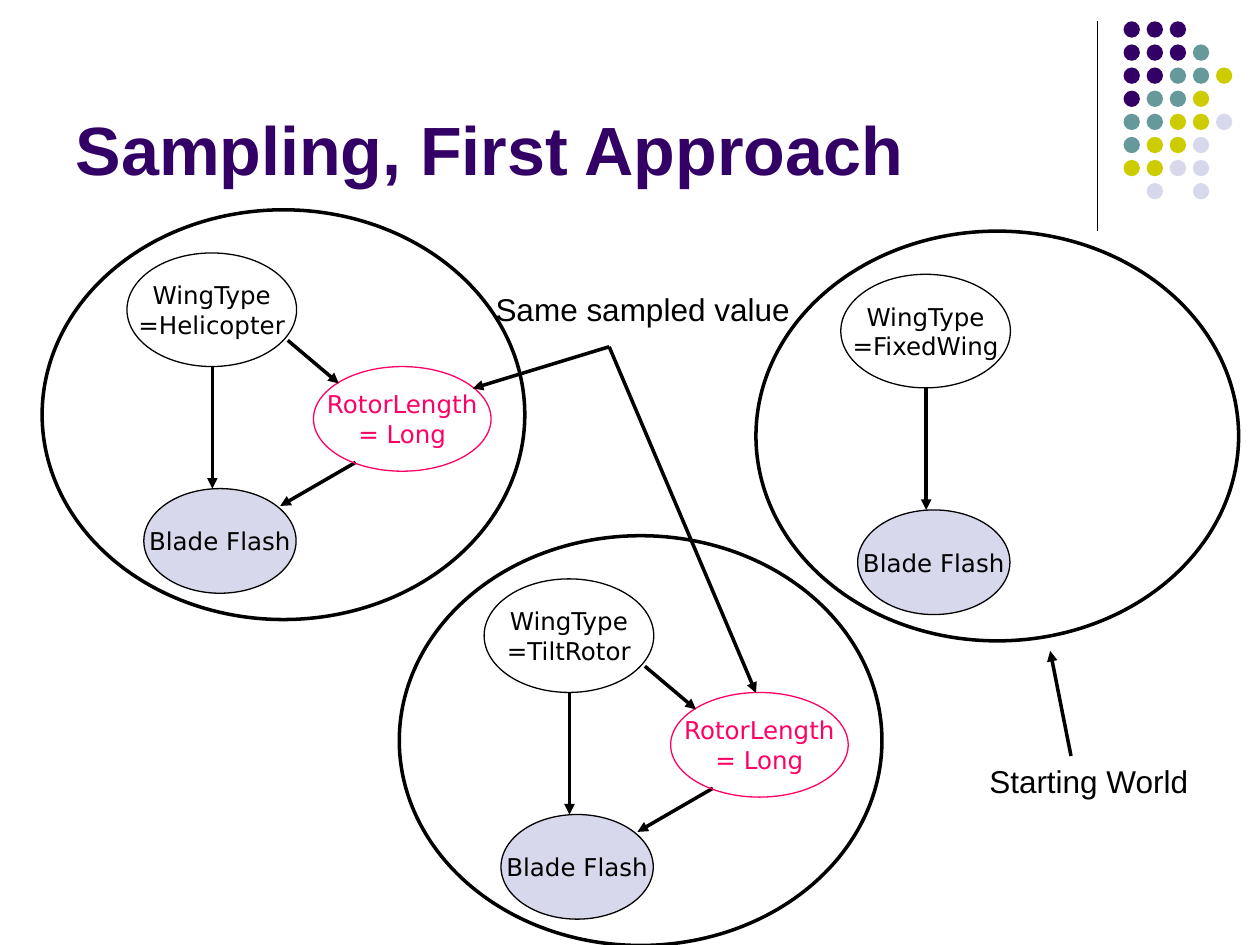
"""Build the slide on sampling possible worlds of wing types and rotor lengths."""
from lxml.etree import SubElement
from pptx import Presentation
from pptx.dml.color import RGBColor
from pptx.enum.shapes import MSO_CONNECTOR, MSO_SHAPE
from pptx.enum.text import MSO_ANCHOR, PP_ALIGN
from pptx.oxml.ns import qn
from pptx.util import Cm, Pt

THEME = {
    "ink": RGBColor.from_string("000000"),
    "purple": RGBColor.from_string("330066"),
    "teal": RGBColor.from_string("669999"),
    "olive": RGBColor.from_string("CCCC00"),
    "lavender": RGBColor.from_string("D8D8EC"),
    "pink": RGBColor.from_string("FF0066"),
    "title": {"name": "Arial", "size": Pt(39), "bold": True},
    "caption": {"name": "Arial", "size": Pt(18)},
    "node": {"name": "DejaVu Sans", "size": Pt(14)},
    "thin": Pt(0.75),
    "thick": Pt(2),
}


def add_ellipse(left, top, width, height, fill=None, line=None, weight="thin", label=""):
    ellipse = slide.shapes.add_shape(
        MSO_SHAPE.OVAL, Cm(left), Cm(top), Cm(width), Cm(height))
    ellipse.shadow.inherit = False
    if fill:
        ellipse.fill.solid()
        ellipse.fill.fore_color.rgb = THEME[fill]
    else:
        ellipse.fill.background()
    if line:
        ellipse.line.color.rgb = THEME[line]
        ellipse.line.width = THEME[weight]
    else:
        ellipse.line.fill.background()
    if label:
        frame = ellipse.text_frame
        frame.text = label
        frame.word_wrap = False
        frame.vertical_anchor = MSO_ANCHOR.MIDDLE
        for paragraph in frame.paragraphs:
            paragraph.alignment = PP_ALIGN.CENTER
            paragraph.font.color.rgb = THEME["pink" if line == "pink" else "ink"]
            for attribute, value in THEME["node"].items():
                setattr(paragraph.font, attribute, value)


def add_line(x1, y1, x2, y2, weight="thick", arrow=True):
    connector = slide.shapes.add_connector(
        MSO_CONNECTOR.STRAIGHT, Cm(x1), Cm(y1), Cm(x2), Cm(y2))
    connector.line.color.rgb = THEME["ink"]
    connector.line.width = THEME[weight]
    if arrow:
        SubElement(connector.line._get_or_add_ln(), qn("a:tailEnd"), type="triangle")
    SubElement(connector._element.spPr, qn("a:effectLst"))


presentation = Presentation()
presentation.slide_width = Cm(25.4)
presentation.slide_height = Cm(19.05)
slide = presentation.slides.add_slide(presentation.slide_layouts[5])

add_line(22.12, 0.43, 22.12, 4.65, "thin", False)

DOT_COLOURS = {"P": "purple", "T": "teal", "O": "olive", "L": "lavender"}
DOT_ROWS = ["PPP", "PPPT", "PPTTO", "PTTO", "TTOOL", "TOOL", "OOLL", " L L"]
DOT_PITCH = 3.26 / 7
for row, dots in enumerate(DOT_ROWS):
    for column, dot in enumerate(dots):
        if dot in DOT_COLOURS:
            add_ellipse(22.65 + column * DOT_PITCH, 0.43 + row * DOT_PITCH,
                        0.33, 0.33, DOT_COLOURS[dot])

title = slide.shapes.title
title_box = {"left": Cm(1.27), "top": Cm(0.33), "width": Cm(20.96), "height": Cm(3.61)}
for attribute, value in title_box.items():
    setattr(title, attribute, value)
title.text_frame.text = "Sampling, First Approach"
title.text_frame.vertical_anchor = MSO_ANCHOR.BOTTOM
heading = title.text_frame.paragraphs[0]
heading.alignment = PP_ALIGN.LEFT
heading.font.color.rgb = THEME["purple"]
for attribute, value in THEME["title"].items():
    setattr(heading.font, attribute, value)

WORLDS = [
    (0.85, 4.23, "Helicopter", True),
    (8.05, 10.8, "TiltRotor", True),
    (15.24, 4.66, "FixedWing", False),
]
for left, top, wing_type, has_rotor in WORLDS:
    add_ellipse(left + 1.71, top + 0.87, 3.42, 2.29, line="ink",
                label=f"WingType\n={wing_type}")
    add_ellipse(left + 2.05, top + 5.62, 3.07, 2.11, "lavender", "ink",
                label="Blade Flash")
    add_line(left + 3.43, top + 3.16, left + 3.43, top + 5.62)
    if has_rotor:
        add_line(left + 6.32, top + 5.09, left + 4.8, top + 5.97)
        add_ellipse(left + 5.47, top + 3.16, 3.58, 2.11, line="pink",
                    label="RotorLength\n= Long")
        add_line(left + 4.95, top + 2.63, left + 5.98, top + 3.5)
    add_ellipse(left, top, 9.73, 8.26, line="ink", weight="thick")

CAPTIONS = [
    ("Starting World", 19.69, 15.24, 4.52),
    ("Same sampled value", 9.74, 5.72, 6.43),
]
for wording, left, top, width in CAPTIONS:
    caption = slide.shapes.add_textbox(Cm(left), Cm(top), Cm(width), Cm(1.02))
    caption.text_frame.text = wording
    caption.text_frame.word_wrap = False
    paragraph = caption.text_frame.paragraphs[0]
    paragraph.alignment = PP_ALIGN.CENTER
    paragraph.font.color.rgb = THEME["ink"]
    for attribute, value in THEME["caption"].items():
        setattr(paragraph.font, attribute, value)

POINTERS = [
    (21.59, 15.24, 21.17, 13.12),
    (12.28, 6.99, 9.53, 7.83),
    (12.28, 6.99, 15.24, 13.97),
]
for pointer in POINTERS:
    add_line(*pointer)

presentation.save("out.pptx")
